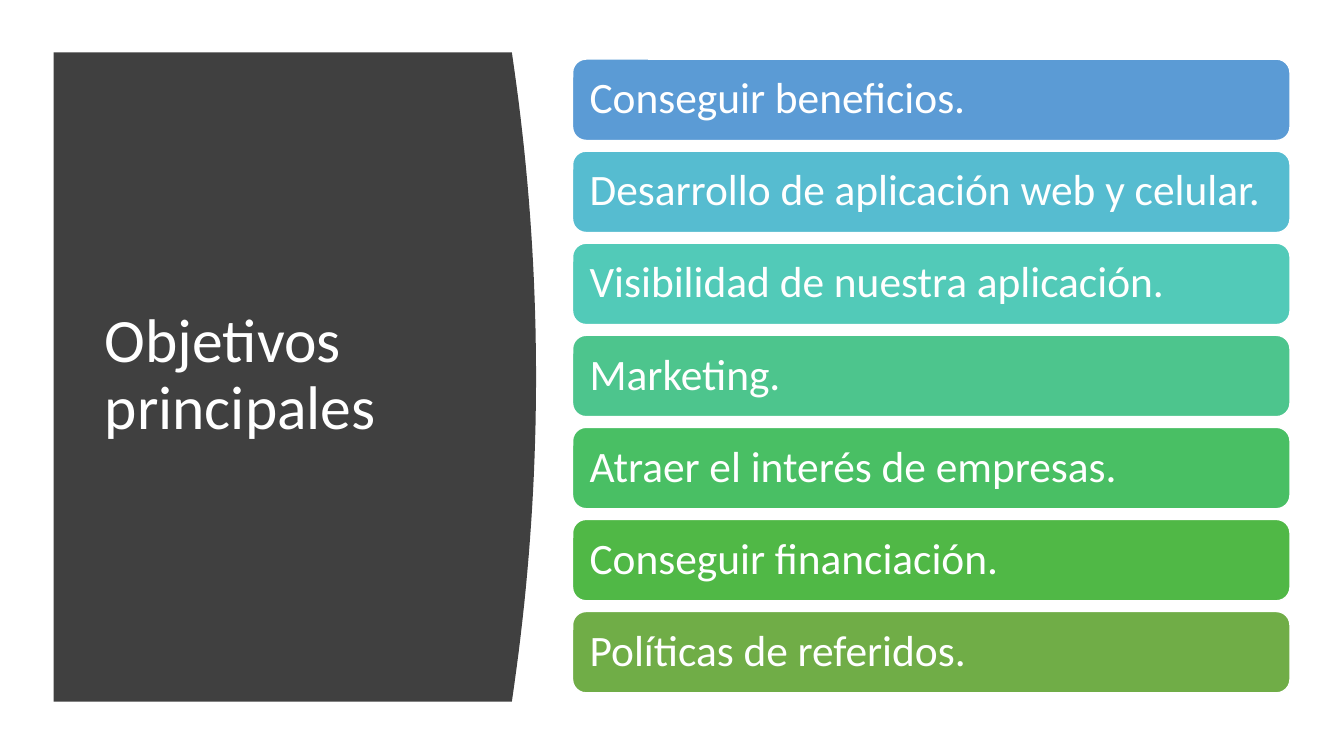
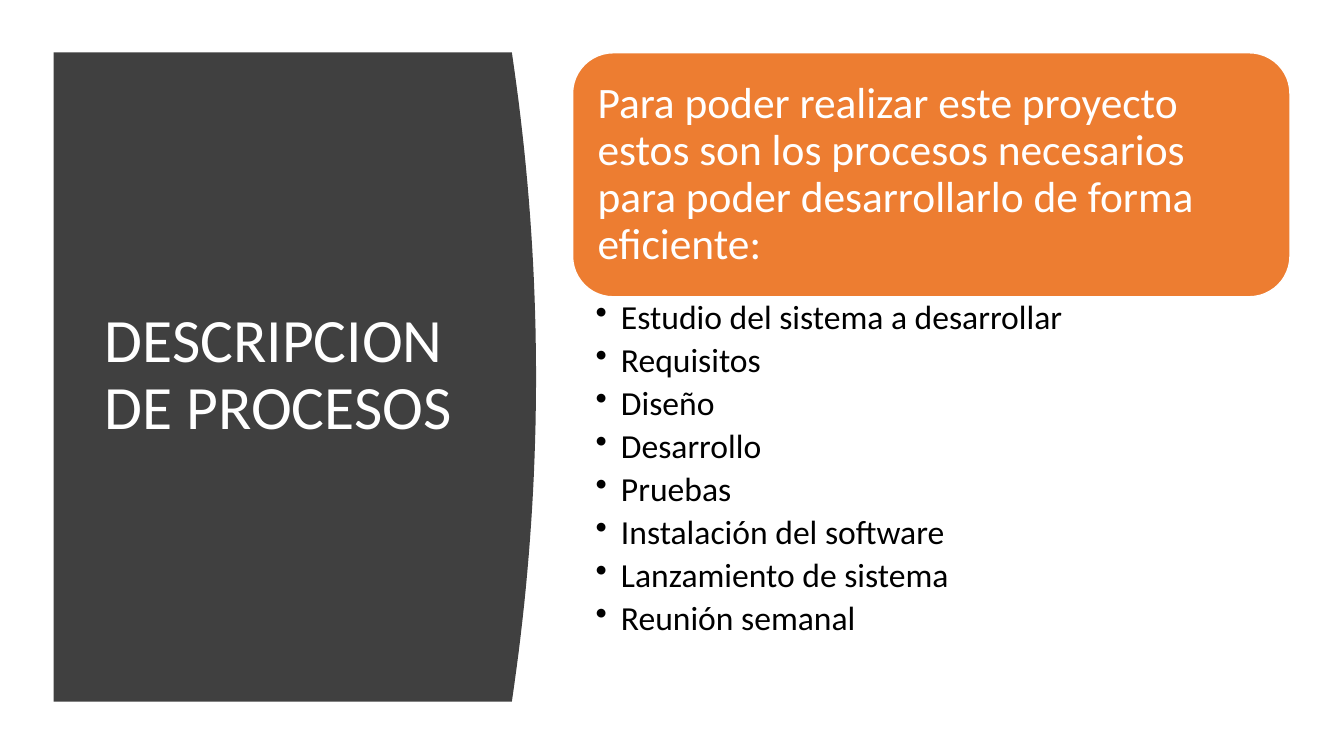
import pptx
import pptx.dml.color
import pptx.enum.shapes
import pptx.enum.text
import pptx.oxml.ns
import pptx.util
from lxml import etree

Cm = pptx.util.Cm
Pt = pptx.util.Pt
RGBColor = pptx.dml.color.RGBColor
ANCHOR = pptx.enum.text.MSO_ANCHOR

WHITE = RGBColor(0xFF, 0xFF, 0xFF)
BLACK = RGBColor(0x00, 0x00, 0x00)
CHARCOAL = RGBColor(0x40, 0x40, 0x40)
ORANGE = RGBColor(0xED, 0x7D, 0x31)
BLUE = RGBColor(0x5B, 0x9B, 0xD5)
CYAN = RGBColor(0x56, 0xBC, 0xD0)
TURQUOISE = RGBColor(0x52, 0xCA, 0xB8)
MINT = RGBColor(0x4D, 0xC5, 0x8D)
EMERALD = RGBColor(0x49, 0xBF, 0x64)
GREEN = RGBColor(0x50, 0xB8, 0x46)
OLIVE = RGBColor(0x70, 0xAD, 0x47)

GOALS = [
    ("Conseguir beneficios.", BLUE),
    ("Desarrollo de aplicación web y celular.", CYAN),
    ("Visibilidad de nuestra aplicación.", TURQUOISE),
    ("Marketing.", MINT),
    ("Atraer el interés de empresas.", EMERALD),
    ("Conseguir financiación.", GREEN),
    ("Políticas de referidos.", OLIVE),
]
INTRO = ("Para poder realizar este proyecto estos son los procesos necesarios "
         "para poder desarrollarlo de forma eficiente:")
PROCESSES = [
    "Estudio del sistema a desarrollar", "Requisitos", "Diseño", "Desarrollo",
    "Pruebas", "Instalación del software", "Lanzamiento de sistema",
    "Reunión semanal",
]


class Deck:
    """Holds the presentation style and the current slide."""

    FONT = "Calibri"
    LEFT, WIDTH = 14.43, 18.08
    CURVE_STEPS = 40

    def __init__(self):
        self.prs = pptx.Presentation()
        self.prs.slide_width = Cm(33.87)
        self.prs.slide_height = Cm(19.05)
        self.s = None

    def slide(self, title):
        self.s = self.prs.slides.add_slide(self.prs.slide_layouts[6])
        self.panel()
        tf = self.text_box(2.39, 2.82, 9.5, 13.31)
        tf.vertical_anchor = ANCHOR.MIDDLE
        self.run(tf.paragraphs[0], title, 44, WHITE)

    def panel(self):
        left, top, corner, bulge, height = 1.35, 1.32, 12.9, 0.61, 16.36
        points = [(left, top)]
        for i in range(self.CURVE_STEPS + 1):
            t = 2 * i / self.CURVE_STEPS - 1
            points.append((corner + bulge * (1 - t * t),
                           top + height * i / self.CURVE_STEPS))
        points.append((left, top + height))
        points = [(Cm(x), Cm(y)) for x, y in points]
        fb = self.s.shapes.build_freeform(*points[0], scale=1.0)
        fb.add_line_segments(points[1:], close=True)
        sp = fb.convert_to_shape()
        self.paint(sp, CHARCOAL)
        sp.line.fill.background()

    def paint(self, sp, color):
        sp.shadow.inherit = False
        sp.fill.solid()
        sp.fill.fore_color.rgb = color

    def text_box(self, x, y, w, h):
        tf = self.s.shapes.add_textbox(Cm(x), Cm(y), Cm(w), Cm(h)).text_frame
        tf.word_wrap = True
        return tf

    def margins(self, tf, side, edge):
        tf.margin_left = tf.margin_right = Cm(side)
        tf.margin_top = tf.margin_bottom = Cm(edge)

    def run(self, p, text, size, color):
        p.alignment = pptx.enum.text.PP_ALIGN.LEFT
        p.line_spacing = 0.9
        r = p.add_run()
        r.text = text
        r.font.name = self.FONT
        r.font.size = Pt(size)
        r.font.color.rgb = color

    def card(self, y, h, text, color):
        sp = self.s.shapes.add_shape(
            pptx.enum.shapes.MSO_SHAPE.ROUNDED_RECTANGLE,
            Cm(self.LEFT), Cm(y), Cm(self.WIDTH), Cm(h))
        self.paint(sp, color)
        sp.line.color.rgb = WHITE
        sp.line.width = Pt(1)
        tf = sp.text_frame
        tf.word_wrap = True
        tf.vertical_anchor = ANCHOR.MIDDLE
        self.margins(tf, 0.33, 0.33)
        self.run(tf.paragraphs[0], text, 31, WHITE)

    def cards(self, items, top, height, gap):
        for i, (text, color) in enumerate(items):
            self.card(top + i * (height + gap), height, text, color)

    def bullets(self, items, y, h):
        tf = self.text_box(self.LEFT, y, self.WIDTH, h)
        self.margins(tf, 0.58, 0.1)
        for i, text in enumerate(items):
            p = tf.add_paragraph() if i else tf.paragraphs[0]
            pPr = p._p.get_or_add_pPr()
            pPr.set("marL", str(Cm(0.64)))
            pPr.set("indent", str(-Cm(0.64)))
            bu = etree.SubElement(pPr, pptx.oxml.ns.qn("a:buChar"))
            bu.set("char", "•")
            p.space_after = Pt(4.8)
            self.run(p, text, 24, BLACK)


def main():
    deck = Deck()
    deck.slide("Objetivos principales")
    deck.cards(GOALS, 1.49, 2.05, 0.27)
    deck.slide("DESCRIPCION DE PROCESOS")
    deck.card(1.33, 6.15, INTRO, ORANGE)
    deck.bullets(PROCESSES, 7.48, 10.16)
    deck.prs.save("out.pptx")


if __name__ == "__main__":
    main()
